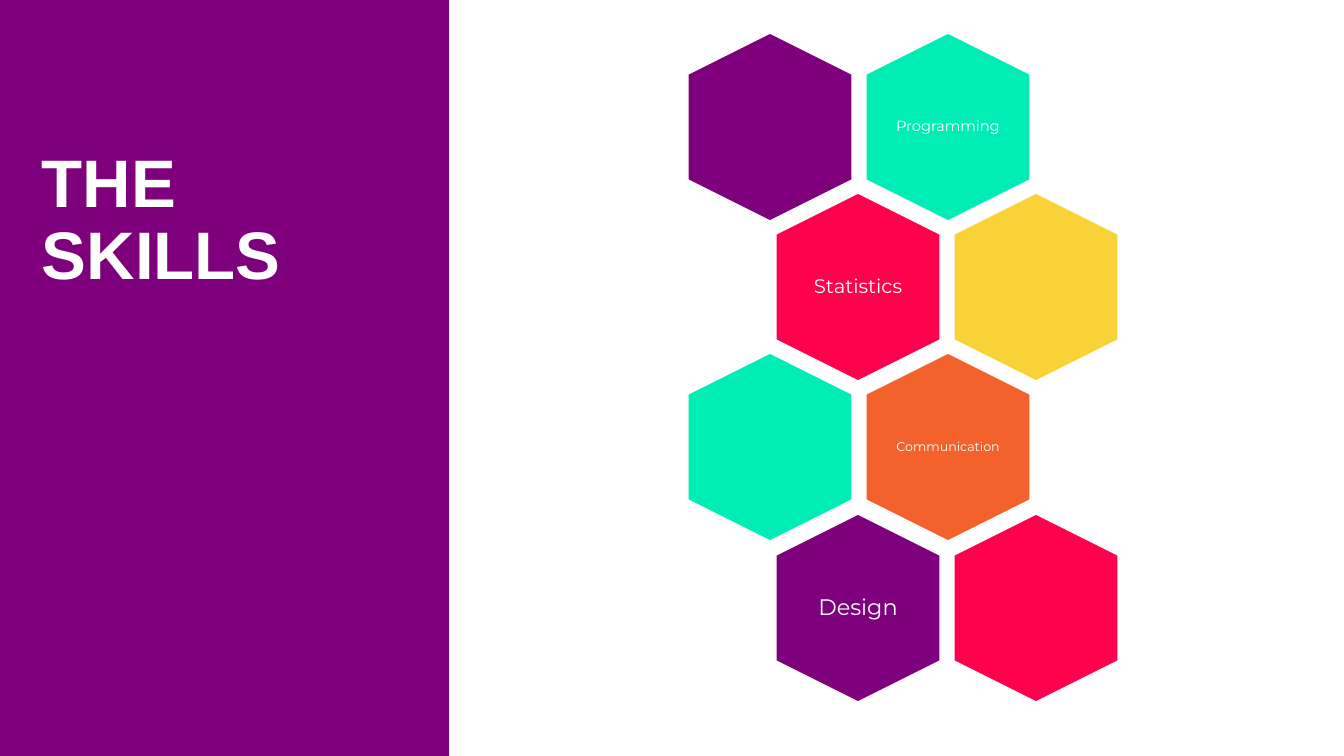
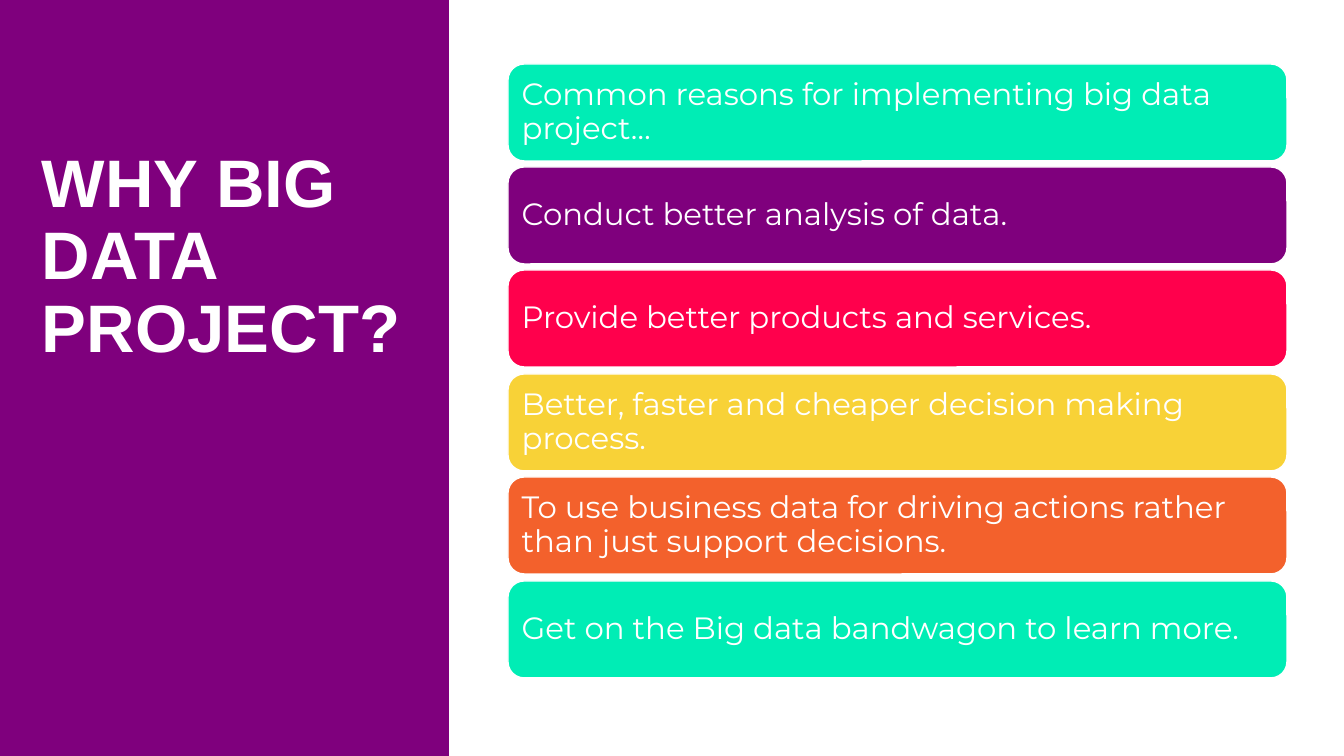
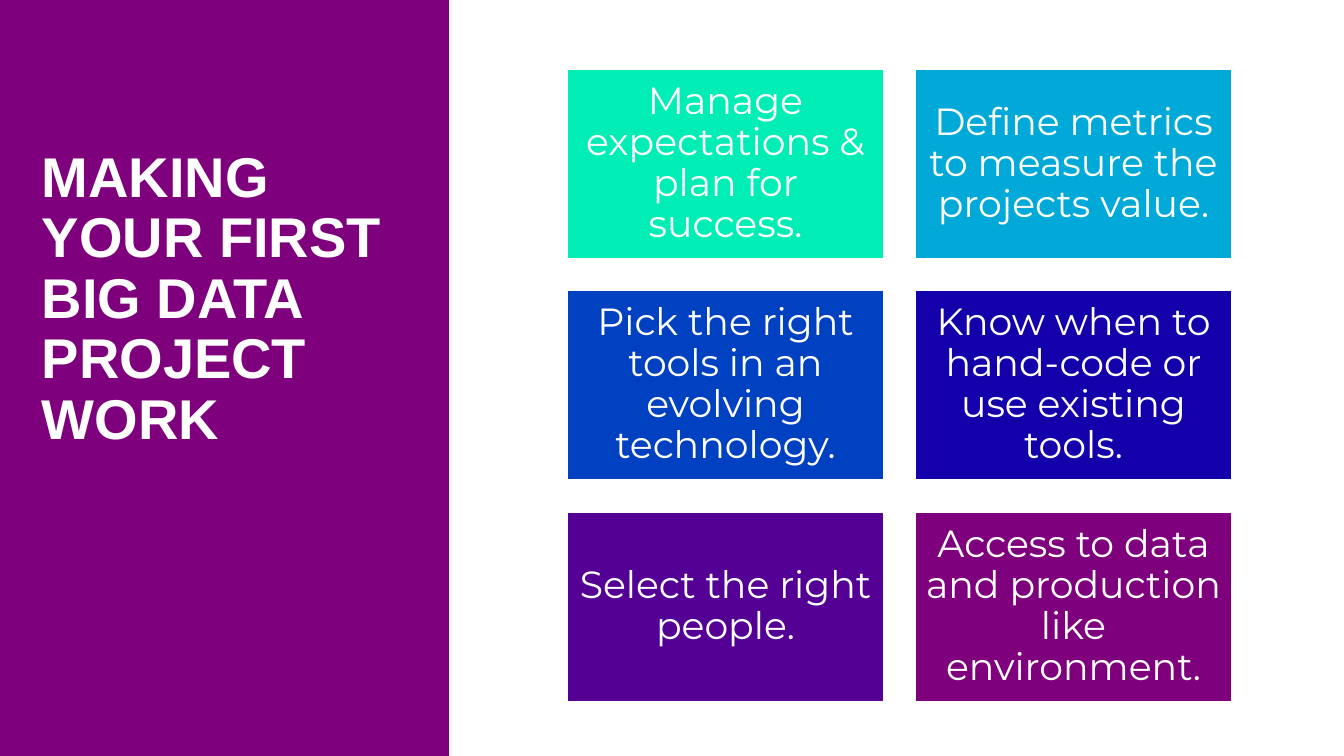
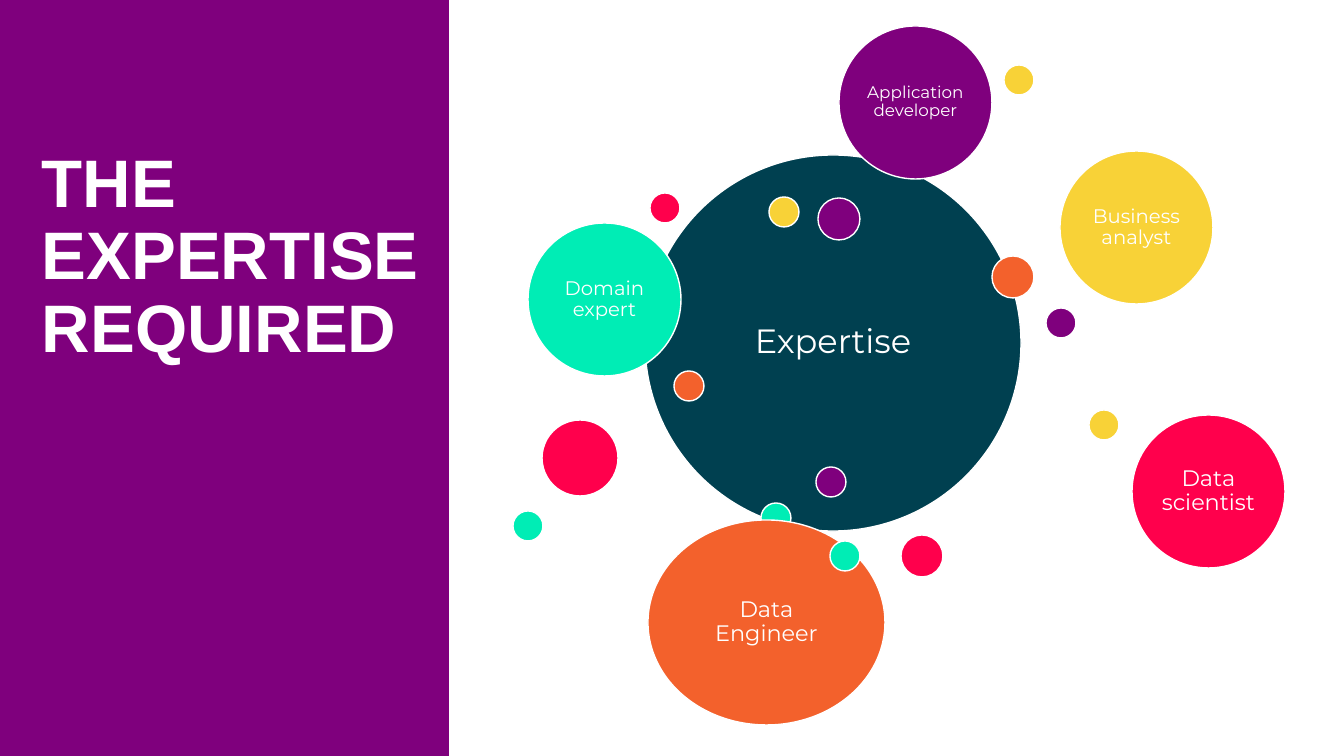
"""Build four big data slides that share a purple title band."""
from pptx import Presentation
from pptx.dml.color import RGBColor
from pptx.enum.shapes import MSO_SHAPE
from pptx.enum.text import MSO_ANCHOR, PP_ALIGN
from pptx.util import Pt

PX = 914400 / 100.8
RECT, ROUNDED = MSO_SHAPE.RECTANGLE, MSO_SHAPE.ROUNDED_RECTANGLE
OVAL, HEXAGON = MSO_SHAPE.OVAL, MSO_SHAPE.HEXAGON
TOP, MIDDLE = MSO_ANCHOR.TOP, MSO_ANCHOR.MIDDLE
LEFT, CENTER = PP_ALIGN.LEFT, PP_ALIGN.CENTER
COLORS = {
    "white": "FFFFFF", "purple": "7F007D", "mint": "00EDB5", "red": "FF004C",
    "yellow": "F8D237", "orange": "F3612C", "petrol": "004050", "sky": "00A9D7",
    "blue": "0041C1", "navy": "1400AB", "violet": "540095",
}


def write(shape, text, size, align=CENTER, anchor=MIDDLE, inset=None, font="Montserrat", bold=False):
    """Set white text, with margins that grow with the text size unless given."""
    frame = shape.text_frame
    frame.word_wrap = True
    frame.vertical_anchor = anchor
    margin = round((round(size * 0.42) if inset is None else inset) * PX)
    frame.margin_left = frame.margin_top = frame.margin_right = frame.margin_bottom = margin
    paragraph = frame.paragraphs[0]
    paragraph.alignment = align
    paragraph.line_spacing = 0.9
    run = paragraph.add_run()
    run.text = text
    run.font.name = font
    run.font.size = Pt(size)
    run.font.bold = bold
    run.font.color.rgb = RGBColor.from_string(COLORS["white"])


def block(slide, kind, box, color):
    """Add a filled shape with a thin white outline."""
    shape = slide.shapes.add_shape(kind, *[round(length * PX) for length in box])
    shape.shadow.inherit = False
    shape.fill.solid()
    shape.fill.fore_color.rgb = RGBColor.from_string(COLORS[color])
    shape.line.color.rgb = RGBColor.from_string(COLORS["white"])
    shape.line.width = Pt(1)
    return shape


deck = Presentation()
deck.slide_width = round(1344 * PX)
deck.slide_height = round(756 * PX)

slides = []
for heading, size in [
    ("THE SKILLS", 48),
    ("WHY BIG DATA PROJECT?", 48),
    ("MAKING YOUR FIRST BIG DATA PROJECT WORK", 40),
    ("THE EXPERTISE REQUIRED", 48),
]:
    slide = deck.slides.add_slide(deck.slide_layouts[6])
    band = block(slide, RECT, (0, 0, 449, 756), "purple")
    band.line.fill.background()
    title = slide.shapes.add_textbox(*[round(length * PX) for length in (42, 149, 380, 303)])
    write(title, heading, size, LEFT, TOP, inset=0, font="Arial", bold=True)
    slides.append(slide)
skills_slide, reasons_slide, steps_slide, expertise_slide = slides

skills = [
    ("purple", "", 0), ("mint", "Programming", 10.5),
    ("red", "Statistics", 14), ("yellow", "", 0),
    ("mint", "", 0), ("orange", "Communication", 9),
    ("purple", "Design", 16), ("red", "", 0),
]
for index, (color, skill, size) in enumerate(skills):
    row, column = divmod(index, 2)
    center_x = 770 + 178 * column + 88 * (row % 2)
    center_y = 127 + 481 * row // 3
    cell = block(skills_slide, HEXAGON, (center_x - 94, center_y - 82, 188, 164), color)
    cell.rotation = 90
    if skill:
        label_box = (center_x - 56.5, center_y - 65, 113, 130)
        label = skills_slide.shapes.add_textbox(*[round(length * PX) for length in label_box])
        write(label, skill, size)

reasons = [
    ("mint", "Common reasons for implementing big data project…"),
    ("purple", "Conduct better analysis of data."),
    ("red", "Provide better products and services."),
    ("yellow", "Better, faster and cheaper decision making process."),
    ("orange", "To use business data for driving actions rather than just support decisions."),
    ("mint", "Get on the Big data bandwagon to learn more."),
]
for row, (color, reason) in enumerate(reasons):
    bar = block(reasons_slide, ROUNDED, (508, 64 + 517 * row // 5, 779, 97), color)
    write(bar, reason, 22, LEFT)

steps = [
    ("mint", "Manage expectations & plan for success."),
    ("sky", "Define metrics to measure the projects value."),
    ("blue", "Pick the right tools in an evolving technology."),
    ("navy", "Know when to hand-code or use existing tools."),
    ("violet", "Select the right people."),
    ("purple", "Access to data and production like environment."),
]
for index, (color, step) in enumerate(steps):
    row, column = divmod(index, 2)
    tile = block(steps_slide, RECT, (567 + 348 * column, 69 + 443 * row // 2, 317, 190), color)
    write(tile, step, 27)

bubbles = [
    (645, 155, 376, 376, "petrol", "Expertise", 24),
    (761, 503, 30, 30, "mint", "", 0),
    (1046, 308, 30, 30, "purple", "", 0),
    (901, 535, 42, 42, "red", "", 0),
    (769, 197, 30, 30, "yellow", "", 0),
    (674, 371, 30, 30, "orange", "", 0),
    (528, 223, 153, 153, "mint", "Domain expert", 14),
    (818, 198, 42, 42, "purple", "", 0),
    (542, 420, 76, 76, "red", "", 0),
    (1060, 151, 153, 153, "yellow", "Business analyst", 14),
    (992, 256, 42, 42, "orange", "", 0),
    (513, 511, 30, 30, "mint", "", 0),
    (816, 467, 30, 30, "purple", "", 0),
    (1132, 415, 153, 153, "red", "Data scientist", 16),
    (1089, 410, 30, 30, "yellow", "", 0),
    (648, 520, 237, 205, "orange", "Data Engineer", 16),
    (830, 541, 30, 30, "mint", "", 0),
    (839, 26, 153, 153, "purple", "Application developer", 12),
    (650, 193, 30, 30, "red", "", 0),
    (1004, 65, 30, 30, "yellow", "", 0),
]
for left, top, width, height, color, role, size in bubbles:
    bubble = block(expertise_slide, OVAL, (left, top, width, height), color)
    if role:
        write(bubble, role, size)

deck.save("out.pptx")
